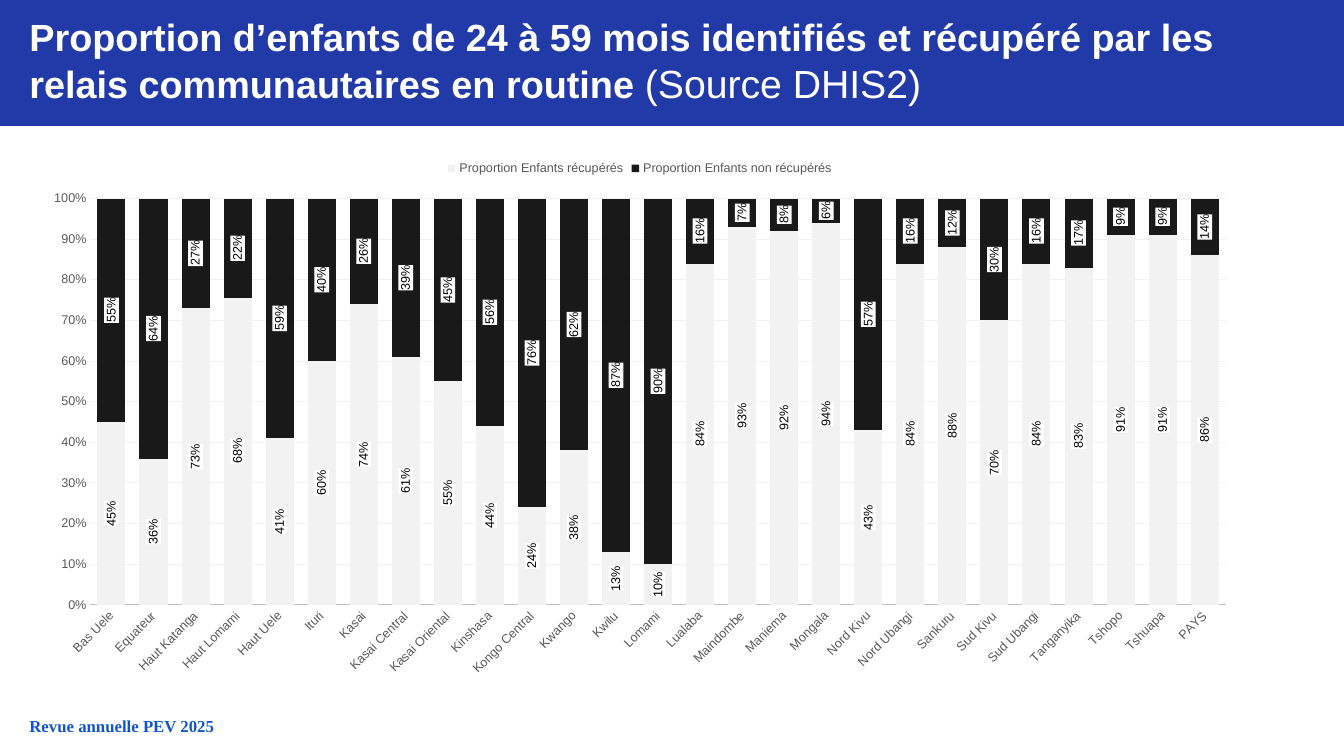
from lxml import etree
from pptx import Presentation
from pptx.chart.data import CategoryChartData
from pptx.dml.color import RGBColor
from pptx.enum.chart import (XL_CHART_TYPE, XL_LABEL_POSITION,
                             XL_LEGEND_POSITION, XL_TICK_MARK)
from pptx.enum.shapes import MSO_SHAPE
from pptx.enum.text import MSO_ANCHOR, MSO_AUTO_SIZE, PP_ALIGN
from pptx.oxml import parse_xml
from pptx.oxml.ns import nsdecls, qn
from pptx.util import Pt

STACKED_100 = XL_CHART_TYPE.COLUMN_STACKED_100
CENTER = XL_LABEL_POSITION.CENTER
LEGEND_TOP = XL_LEGEND_POSITION.TOP
NO_TICK = XL_TICK_MARK.NONE
RECT = MSO_SHAPE.RECTANGLE
TOP = MSO_ANCHOR.TOP
NO_FIT = MSO_AUTO_SIZE.NONE
LEFT = PP_ALIGN.LEFT

COLORS = {
    "banner": "223AA8", "white": "FFFFFF", "footer": "1155CC",
    "recovered": "F2F2F2", "missed": "191919", "label": "000000",
    "axis_text": "595959", "axis_line": "BFBFBF", "grid": "F2F2F2",
}
PROVINCES = [
    ("Bas Uele", 45, 55), ("Equateur", 36, 64), ("Haut Katanga", 73, 27),
    ("Haut Lomami", 68, 22), ("Haut Uele", 41, 59), ("Ituri", 60, 40),
    ("Kasai", 74, 26), ("Kasai Central", 61, 39), ("Kasai Oriental", 55, 45),
    ("Kinshasa", 44, 56), ("Kongo Central", 24, 76), ("Kwango", 38, 62),
    ("Kwilu", 13, 87), ("Lomami", 10, 90), ("Lualaba", 84, 16),
    ("Maindombe", 93, 7), ("Maniema", 92, 8), ("Mongala", 94, 6),
    ("Nord Kivu", 43, 57), ("Nord Ubangi", 84, 16), ("Sankuru", 88, 12),
    ("Sud Kivu", 70, 30), ("Sud Ubangi", 84, 16), ("Tanganyika", 83, 17),
    ("Tshopo", 91, 9), ("Tshuapa", 91, 9), ("PAYS", 86, 14),
]


def rgb(name):
    """Return the named colour."""
    return RGBColor.from_string(COLORS[name])


def set_font(font, size, color, name="Arial", bold=False):
    """Set size, colour, typeface and weight of a font."""
    font.size, font.name, font.bold = Pt(size), name, bold
    font.color.rgb = rgb(color)


def set_frame(tf):
    """Make a wrapping, top-anchored text frame without insets."""
    tf.word_wrap, tf.auto_size, tf.vertical_anchor = True, NO_FIT, TOP
    tf.margin_left = tf.margin_right = tf.margin_top = tf.margin_bottom = 0


def add_banner(slide, x, y, w, h):
    """Draw the blue banner with the title on it."""
    sp = slide.shapes.add_shape(RECT, Pt(x), Pt(y), Pt(w), Pt(h))
    sp.shadow.inherit = False
    sp.fill.solid()
    sp.fill.fore_color.rgb = rgb("banner")
    sp.line.fill.background()
    title = slide.shapes.title
    title._element.addprevious(sp._element)
    title.left, title.top = Pt(x + 21), Pt(y + 10)
    title.width, title.height = Pt(w - 72), Pt(h - 20)
    tf = title.text_frame
    set_frame(tf)
    p = tf.paragraphs[0]
    p.alignment = LEFT
    for text, size, bold in (
            ("Proportion d’enfants de 24 à 59 mois identifiés et récupéré "
             "par les relais communautaires en routine ", 27, True),
            ("(Source DHIS2)", 28, False)):
        r = p.add_run()
        r.text = text
        set_font(r.font, size, "white", bold=bold)


def format_axes(chart):
    """Style the province axis and the percentage axis."""
    cat, val = chart.category_axis, chart.value_axis
    for axis in (cat, val):
        axis.major_tick_mark = axis.minor_tick_mark = NO_TICK
        set_font(axis.tick_labels.font, 9, "axis_text")
    cat.format.line.color.rgb = rgb("axis_line")
    cat.format.line.width = Pt(0.75)
    cat._element.find(qn("c:txPr")).find(qn("a:bodyPr")).set("rot", "-2700000")
    val.minimum_scale, val.maximum_scale, val.major_unit = 0, 1, 0.1
    val.format.line.fill.background()
    val.major_gridlines.format.line.color.rgb = rgb("grid")
    val.major_gridlines.format.line.width = Pt(0.75)
    val.tick_labels.number_format = "0%"
    val.tick_labels.number_format_is_linked = False


def format_series(series, color):
    """Colour a series and give it upright labels on white."""
    series.format.fill.solid()
    series.format.fill.fore_color.rgb = rgb(color)
    labels = series.data_labels
    labels.show_value, labels.position = True, CENTER
    labels.number_format, labels.number_format_is_linked = "0%", False
    set_font(labels.font, 9, "label")
    props = labels._element.find(qn("c:txPr"))
    props.find(qn("a:bodyPr")).set("rot", "-5400000")
    props.addprevious(parse_xml(
        f'<c:spPr {nsdecls("c", "a")}><a:solidFill>'
        f'<a:srgbClr val="{COLORS["white"]}"/></a:solidFill></c:spPr>'))


def place_plot(chart, **box):
    """Fix the inner plot area as fractions of the chart."""
    area = chart._chartSpace.chart.plotArea
    for old in area.findall(qn("c:layout")):
        area.remove(old)
    layout = etree.Element(qn("c:layout"))
    manual = etree.SubElement(layout, qn("c:manualLayout"))
    settings = {"layoutTarget": "inner", "xMode": "edge", "yMode": "edge", **box}
    for key, value in settings.items():
        etree.SubElement(manual, qn(f"c:{key}")).set("val", str(value))
    area.insert(0, layout)


def add_province_chart(slide, x, y, w, h):
    """Draw the stacked percentage columns by province."""
    names, recovered, missed = zip(*PROVINCES)
    data = CategoryChartData(number_format="0%")
    data.categories = names
    data.add_series("Proportion Enfants récupérés", [v / 100 for v in recovered])
    data.add_series("Proportion Enfants non récupérés", [v / 100 for v in missed])
    chart = slide.shapes.add_chart(
        STACKED_100, Pt(x), Pt(y), Pt(w), Pt(h), data).chart
    set_font(chart.font, 10, "label")
    chart.has_title = False
    chart.has_legend = True
    chart.legend.position = LEGEND_TOP
    chart.legend.include_in_layout = False
    set_font(chart.legend.font, 9, "axis_text")
    plot = chart.plots[0]
    plot.gap_width, plot.overlap, plot.vary_by_categories = 50, 100, False
    for series, color in zip(plot.series, ("recovered", "missed")):
        format_series(series, color)
    format_axes(chart)
    place_plot(chart, x=0.05, y=0.09, w=0.93, h=0.75)


def add_footer(slide, x, y, w, h):
    """Write the name of the review at the foot of the slide."""
    tf = slide.shapes.add_textbox(Pt(x), Pt(y), Pt(w), Pt(h)).text_frame
    set_frame(tf)
    r = tf.paragraphs[0].add_run()
    r.text = "Revue annuelle PEV 2025"
    set_font(r.font, 12, "footer", "Times New Roman", True)


def main():
    """Build and save the slide."""
    prs = Presentation()
    prs.slide_width, prs.slide_height = Pt(960), Pt(540)
    slide = prs.slides.add_slide(prs.slide_layouts[5])
    add_banner(slide, 0, 0, 960, 90)
    add_province_chart(slide, 21, 107, 872, 387)
    add_footer(slide, 21, 511, 898, 15)
    prs.save("out.pptx")


if __name__ == "__main__":
    main()
